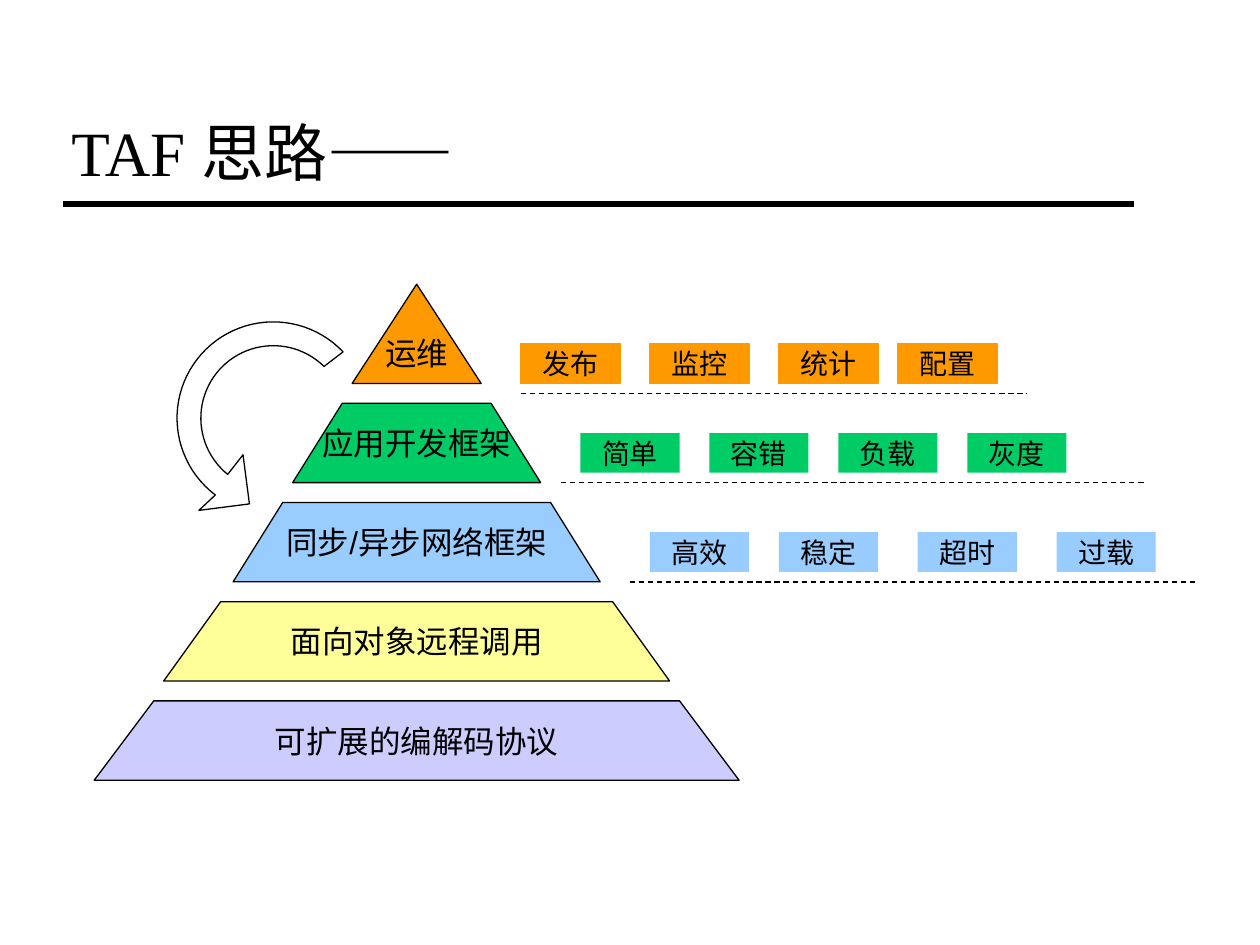
"""Build the layered pyramid slide on a grid of 25.4 columns by 19.05 rows."""
import math
from dataclasses import dataclass
from typing import Optional

import pptx
import pptx.dml.color
import pptx.enum.dml
import pptx.enum.shapes
import pptx.enum.text
import pptx.oxml
import pptx.util

CELL = pptx.util.Inches(10) / 25.4
CENTRE = 8.4
FIRST_BASE = 7.73
LEVEL_PITCH = 2
TAG_WIDTH, TAG_HEIGHT, TAG_RISE = 2, 0.8, 1
BLACK = "000000"
ORANGE, GREEN, BLUE = "FF9900", "00CC66", "99CCFF"


@dataclass
class Level:
    text: str
    colour: str
    top_width: float
    base_width: float
    height: float = 1.6
    top_inset: float = 0.05


@dataclass
class TagRow:
    colour: str
    rule_row: float
    rule_start: float
    rule_end: float
    tags: dict[str, float]
    outline: Optional[str] = None


LEVELS = [
    Level("运维", ORANGE, 0, 2.6, height=2, top_inset=0.35),
    Level("应用开发框架", GREEN, 3, 5),
    Level("同步/异步网络框架", BLUE, 5.4, 7.4),
    Level("面向对象远程调用", "FFFF99", 7.9, 10.2),
    Level("可扩展的编解码协议", "CCCCFF", 10.6, 13),
]

TAG_ROWS = [
    TagRow(ORANGE, 7.93, 10.5, 20.7,
           {"发布": 10.5, "监控": 13.1, "统计": 15.7, "配置": 18.1}, outline=ORANGE),
    TagRow(GREEN, 9.73, 11.3, 23.1,
           {"简单": 11.7, "容错": 14.3, "负载": 16.9, "灰度": 19.5}),
    TagRow(BLUE, 11.73, 12.7, 24.1,
           {"高效": 13.1, "稳定": 15.7, "超时": 18.5, "过载": 21.3}),
]


def grid(cells: float) -> int:
    return round(cells * CELL)


def rgb(colour: str) -> pptx.dml.color.RGBColor:
    return pptx.dml.color.RGBColor.from_string(colour)


def paint(shape, fill: Optional[str], outline: Optional[str]) -> None:
    shape.shadow.inherit = False
    if fill:
        shape.fill.solid()
        shape.fill.fore_color.rgb = rgb(fill)
    else:
        shape.fill.background()
    if outline:
        shape.line.color.rgb = rgb(outline)
        shape.line.width = pptx.util.Pt(0.75)
    else:
        shape.line.fill.background()


def write(shape, text: str, size: float, font: str = "Arial", centred: bool = True) -> None:
    frame = shape.text_frame
    frame.text = text
    frame.word_wrap = not centred
    anchors = pptx.enum.text.MSO_ANCHOR
    frame.vertical_anchor = anchors.MIDDLE if centred else anchors.BOTTOM
    paragraph = frame.paragraphs[0]
    alignments = pptx.enum.text.PP_ALIGN
    paragraph.alignment = alignments.CENTER if centred else alignments.LEFT
    paragraph.font.size = pptx.util.Pt(size)
    paragraph.font.name = font
    paragraph.font.color.rgb = rgb(BLACK)


def draw_outline(slide, points: list[tuple[float, float]], fill: Optional[str]):
    corners = [(grid(column), grid(row)) for column, row in points]
    builder = slide.shapes.build_freeform(*corners[0])
    builder.add_line_segments(corners[1:], close=True)
    shape = builder.convert_to_shape()
    paint(shape, fill, BLACK)
    return shape


def draw_rule(slide, start: float, end: float, row: float, width: float, dashed: bool) -> None:
    rule = slide.shapes.add_connector(
        pptx.enum.shapes.MSO_CONNECTOR.STRAIGHT, grid(start), grid(row), grid(end), grid(row))
    rule.line.color.rgb = rgb(BLACK)
    rule.line.width = pptx.util.Pt(width)
    if dashed:
        rule.line.dash_style = pptx.enum.dml.MSO_LINE.DASH
    properties = rule._element.spPr
    properties.append(properties.makeelement(pptx.oxml.ns.qn("a:effectLst"), {}))


def draw_level(slide, level: Level, base: float) -> None:
    top = base - level.height
    half_base, half_top = level.base_width / 2, level.top_width / 2
    shape = draw_outline(slide, [
        (CENTRE - half_base, base), (CENTRE + half_base, base),
        (CENTRE + half_top, top), (CENTRE - half_top, top)], level.colour)
    write(shape, level.text, 18)
    shape.text_frame.margin_top = pptx.util.Inches(level.top_inset)


def draw_tag_row(slide, row: TagRow) -> None:
    draw_rule(slide, row.rule_start, row.rule_end, row.rule_row, 0.75, dashed=True)
    for text, left in row.tags.items():
        tag = slide.shapes.add_shape(
            pptx.enum.shapes.MSO_SHAPE.RECTANGLE, grid(left), grid(row.rule_row - TAG_RISE),
            grid(TAG_WIDTH), grid(TAG_HEIGHT))
        paint(tag, row.colour, row.outline)
        write(tag, text, 16)


def arc(radius: float, start: float, end: float, steps: int = 48) -> list[tuple[float, float]]:
    angles = [math.radians(start + (end - start) * step / steps) for step in range(steps + 1)]
    return [(5.51 + radius * math.cos(angle), 8.43 + radius * math.sin(angle))
            for angle in angles]


def draw_curved_arrow(slide) -> None:
    head = [(4.01, 10.29), (5.03, 10.16), (4.9, 9.17)]
    draw_outline(slide, arc(1.94, -43.5, -233) + head + arc(1.46, -231, -45.5), None)


def main() -> None:
    presentation = pptx.Presentation()
    presentation.slide_width = pptx.util.Inches(10)
    presentation.slide_height = pptx.util.Inches(7.5)
    slide = presentation.slides.add_slide(presentation.slide_layouts[5])

    title = slide.shapes.title
    title.left, title.top = grid(0.89), grid(2.31)
    title.width, title.height = grid(22.91), grid(1.63)
    write(title, " TAF 思路——", 36, "Times New Roman", centred=False)
    title.text_frame.auto_size = pptx.enum.text.MSO_AUTO_SIZE.NONE
    draw_rule(slide, 1.27, 22.86, 4.11, 3, dashed=False)

    for index, level in enumerate(LEVELS):
        draw_level(slide, level, FIRST_BASE + index * LEVEL_PITCH)
    draw_curved_arrow(slide)
    for row in TAG_ROWS:
        draw_tag_row(slide, row)

    presentation.save("out.pptx")


if __name__ == "__main__":
    main()
